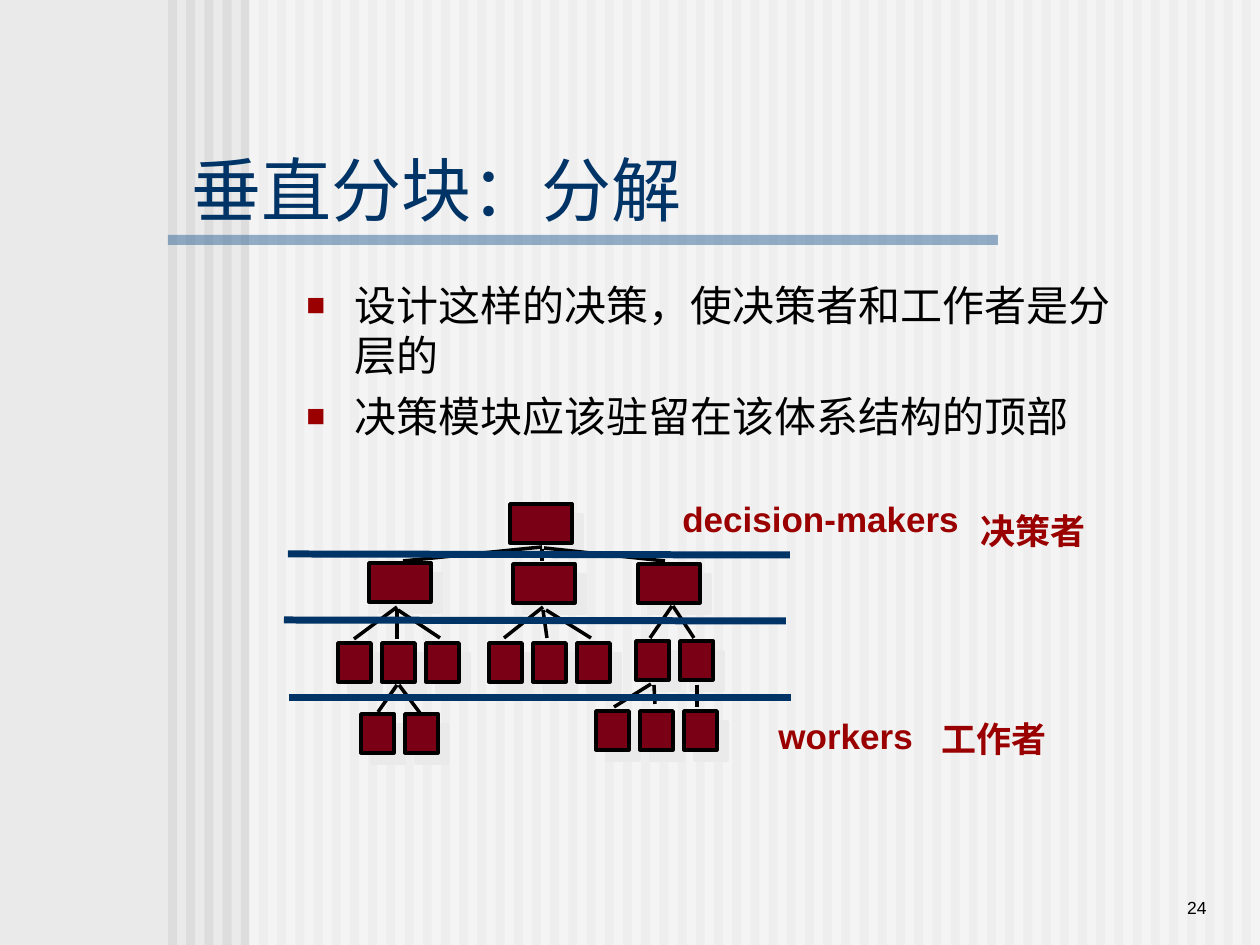
from lxml import etree
from pptx import Presentation
from pptx.dml.color import RGBColor
from pptx.enum.shapes import MSO_CONNECTOR as CONN, MSO_SHAPE as SHAPE
from pptx.enum.text import MSO_ANCHOR as ANCHOR, MSO_AUTO_SIZE as AUTO, PP_ALIGN as ALIGN
from pptx.oxml import parse_xml
from pptx.oxml.ns import nsdecls, qn
from pptx.util import Emu, Pt

PX = 914400 / 126
W, H = 1260, 945

BACK = RGBColor(0xEA, 0xEA, 0xEA)
STRIPE = RGBColor(0xDD, 0xDD, 0xDD)
WHITE = RGBColor(0xFF, 0xFF, 0xFF)
RULE = RGBColor(0x33, 0x66, 0x99)
NAVY = RGBColor(0x00, 0x33, 0x66)
MAROON = RGBColor(0x79, 0x00, 0x15)
RED = RGBColor(0x9A, 0x00, 0x00)
BLACK = RGBColor(0, 0, 0)

TITLE = "垂直分块：分解"
BULLETS = ["设计这样的决策，使决策者和工作者是分层的", "决策模块应该驻留在该体系结构的顶部"]
LABELS = [  # text, left, top, width
    ("工作者", 929, 711, 130),
    ("决策者", 968, 503, 130),
    ("workers", 766, 708, 160),
    ("decision-makers", 670, 491, 302),
]

STRIPE_COUNT, STRIPE_LEFT, STRIPE_PITCH, STRIPE_W = 60, 168, 18.2, 9
BOX_H, WIDE, NARROW, GAP = 39, 62, 33, 11
MODULES = [  # left, top, width, count in the row
    (510, 504, WIDE, 1),
    (369, 563, WIDE, 1), (513, 564, WIDE, 1), (638, 564, WIDE, 1),
    (338, 643, NARROW, 3), (489, 643, NARROW, 3), (636, 641, NARROW, 2),
    (596, 711, NARROW, 3), (361, 714, NARROW, 2),
]
LINKS = [  # x1, y1, x2, y2
    (542, 547, 403, 561), (542, 549, 542, 561), (544, 548, 665, 561),
    (397, 607, 354, 639), (397, 609, 397, 639), (398, 610, 440, 638),
    (543, 607, 504, 638), (543, 610, 547, 638), (546, 610, 591, 638),
    (672, 606, 650, 638), (673, 606, 694, 638),
    (651, 684, 614, 707), (654, 685, 655, 704), (697, 685, 697, 707),
    (397, 685, 378, 712), (399, 685, 420, 713),
]
LAYER_LINES = [(284, 620, 786, 621), (289, 698, 791, 698), (288, 554, 790, 555)]


def px(*values):
    return [Emu(round(v * PX)) for v in values]


def rect(slide, x, y, w, h, color, alpha=None):
    s = slide.shapes.add_shape(SHAPE.RECTANGLE, *px(x, y, w, h))
    s.shadow.inherit = False
    s.fill.solid()
    s.fill.fore_color.rgb = color
    s.line.fill.background()
    if alpha:
        clr = s._element.spPr.find(".//" + qn("a:srgbClr"))
        etree.SubElement(clr, qn("a:alpha")).set("val", str(alpha * 1000))
    return s


def module(slide, x, y, w):
    s = rect(slide, x, y, w, BOX_H, MAROON)
    s.line.color.rgb = BLACK
    s.line.width = Pt(2)
    effects = s._element.spPr.find(qn("a:effectLst"))
    effects.append(parse_xml(
        f'<a:outerShdw {nsdecls("a")} dist="{Pt(8.5)}" dir="2700000" algn="ctr" '
        f'rotWithShape="0"><a:srgbClr val="{BACK}"/></a:outerShdw>'))


def line(slide, ends, color, width):
    c = slide.shapes.add_connector(CONN.STRAIGHT, *px(*ends))
    c.line.color.rgb = color
    c.line.width = Pt(width)
    etree.SubElement(c._element.spPr, qn("a:effectLst"))


def add_bullet(p):
    pPr = p._p.get_or_add_pPr()
    indent = px(48)[0]
    pPr.set("marL", str(indent))
    pPr.set("indent", str(-indent))
    color = etree.SubElement(pPr, qn("a:buClr"))
    etree.SubElement(color, qn("a:srgbClr")).set("val", str(RED))
    etree.SubElement(pPr, qn("a:buSzPct")).set("val", "75000")
    etree.SubElement(pPr, qn("a:buFont")).set("typeface", "Arial")
    etree.SubElement(pPr, qn("a:buChar")).set("char", "■")


def write(s, *texts, size, color=BLACK, bold=False, align=ALIGN.LEFT,
          anchor=ANCHOR.TOP, wrap=True, bullets=False, before=0):
    tf = s.text_frame
    tf.auto_size = AUTO.NONE if wrap else AUTO.SHAPE_TO_FIT_TEXT
    tf.word_wrap = wrap
    tf.vertical_anchor = anchor
    for i, text in enumerate(texts):
        p = tf.add_paragraph() if i else tf.paragraphs[0]
        p.alignment = align
        if i:
            p.space_before = Pt(before)
        if bullets:
            add_bullet(p)
        r = p.add_run()
        r.text = text
        r.font.name = "Arial"
        r.font.size = Pt(size)
        r.font.bold = bold
        r.font.color.rgb = color


def text_box(slide, box, *texts, **fmt):
    write(slide.shapes.add_textbox(*px(*box)), *texts, **fmt)


def main():
    prs = Presentation()
    prs.slide_width, prs.slide_height = px(W, H)
    slide = prs.slides.add_slide(prs.slide_layouts[5])
    slide.background.fill.solid()
    slide.background.fill.fore_color.rgb = BACK

    for i in range(STRIPE_COUNT):
        rect(slide, STRIPE_LEFT + i * STRIPE_PITCH, 0, STRIPE_W, H, STRIPE)
    rect(slide, 249, 0, W - 249, H, WHITE, alpha=50)
    rect(slide, 168, 235, 830, 10, RULE, alpha=50)

    title = slide.shapes.title
    slide.shapes._spTree.append(title._element)  # in front of the stripes
    title.left, title.top, title.width, title.height = px(179, 147, 987, 83)
    write(title, TITLE, size=40, color=NAVY, anchor=ANCHOR.MIDDLE)
    text_box(slide, (1040, 861, 179, 63), "24", size=10,
             align=ALIGN.RIGHT, anchor=ANCHOR.BOTTOM)
    text_box(slide, (294, 273, 862, 248), *BULLETS, size=24, bullets=True, before=6)

    for x, y, w, count in MODULES:
        for i in range(count):
            module(slide, x + i * (w + GAP), y, w)
    for ends in LINKS:
        line(slide, ends, BLACK, 2)
    for ends in LAYER_LINES:
        line(slide, ends, NAVY, 4)
    for text, x, y, w in LABELS:
        text_box(slide, (x, y, w, 54), text, size=20, color=RED, bold=True, wrap=False)

    prs.save("out.pptx")


if __name__ == "__main__":
    main()
